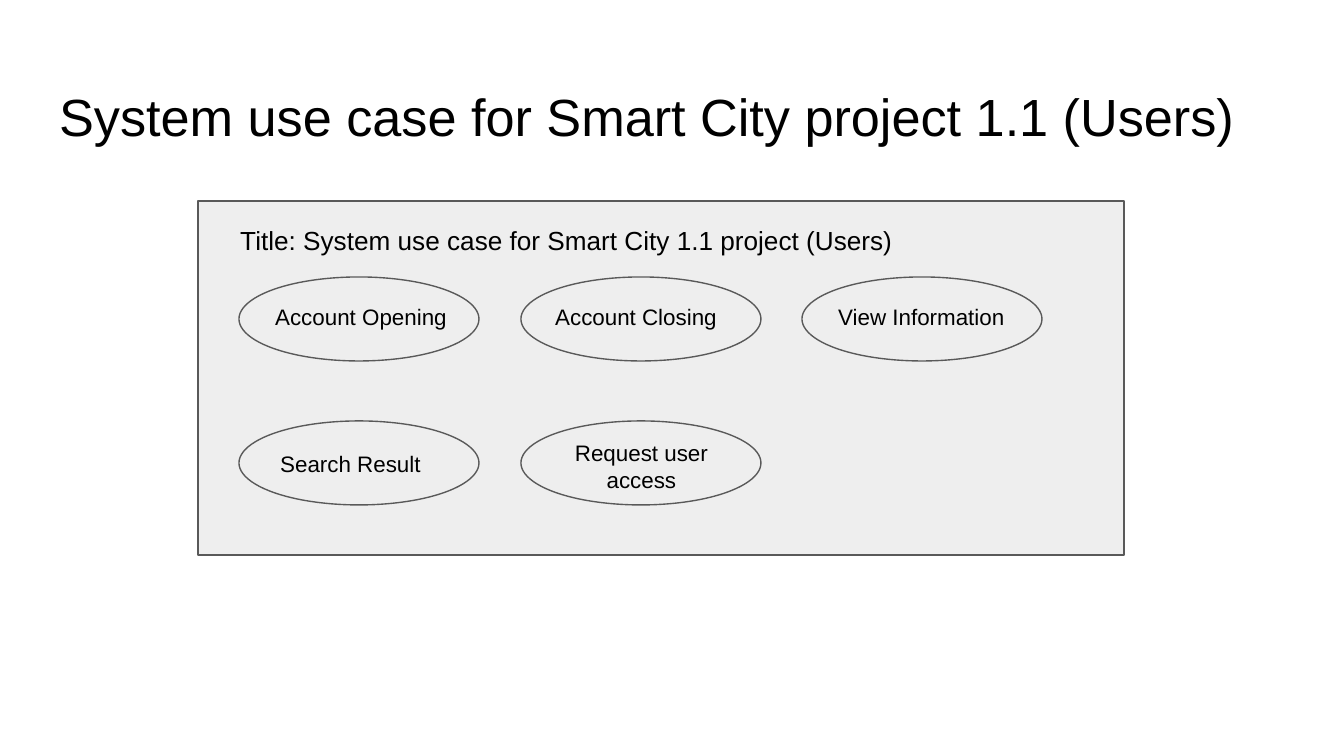
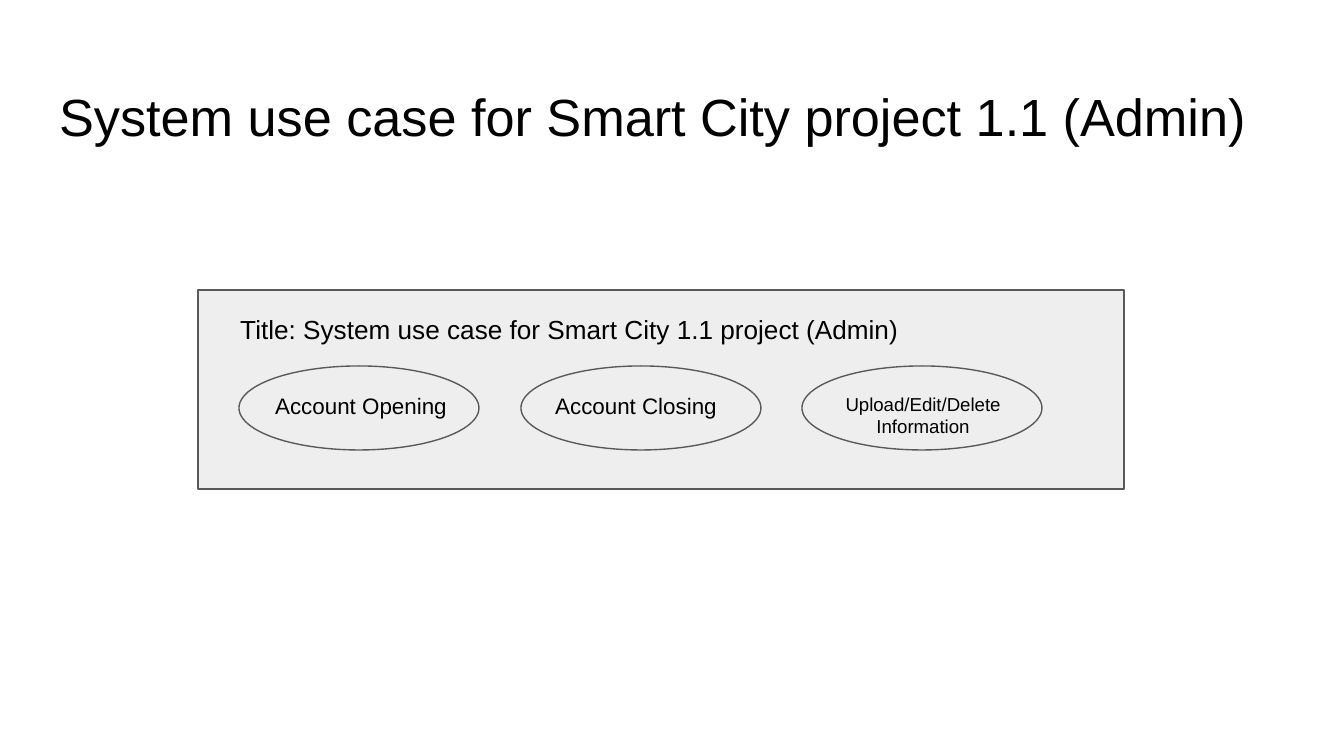
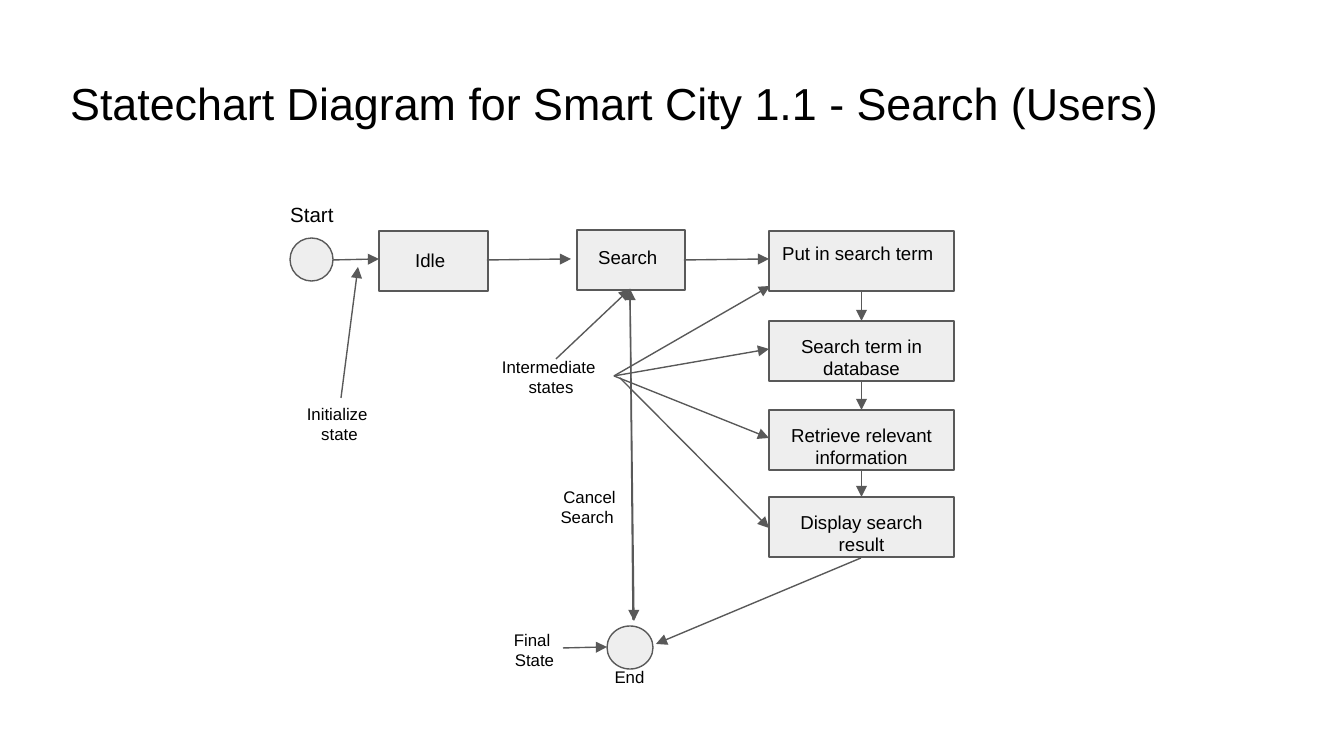
from pptx import Presentation, util as u
from pptx.dml.color import RGBColor
from pptx.enum import shapes, text
from pptx.oxml import parse_xml
from pptx.oxml.ns import nsdecls, qn

FONT, INK, LINE, FILL = "Arial", "000000", "595959", "EEEEEE"
RECT, OVAL = shapes.MSO_SHAPE.RECTANGLE, shapes.MSO_SHAPE.OVAL
PX = 914400 / 134.4

# label, column, row, offset x, offset y, width, size, centred
OPENING = ("Account Opening", 0, 0, 23, 13, 207, 12, False)
CLOSING = ("Account Closing", 1, 0, 21, 13, 196, 12, False)
CASES = [
    ("Users", 201, 354, [
        OPENING, CLOSING,
        ("View Information", 2, 0, 23, 13, 196, 12, False),
        ("Search Result", 0, 1, 28, 16, 196, 12, False),
        ("Request user access", 1, 1, 17, 5, 207, 12, True)]),
    ("Admin", 290, 199, [
        OPENING, CLOSING,
        ("Upload/Edit/Delete Information", 2, 0, 23, 13, 196, 10, True)]),
]
COLS, PITCH = (239, 521, 802), 144

NODES = [
    (OVAL, 290, 238, 43, 43), (OVAL, 607, 626, 46, 43),
    (RECT, 379, 231, 109, 60), (RECT, 577, 230, 108, 60),
]
STEPS = [
    ("Put in search term", 231, False),
    ("Search term in database", 321, True),
    ("Retrieve relevant information", 410, True),
    ("Display search result", 497, True),
]
STEP_X, STEP_W, STEP_H = 769, 185, 60
LABELS = [
    ("Start", 277, 190, 87, 52, 11, False),
    ("Idle", 402, 238, 71, 60, 10, False),
    ("Search", 585, 235, 88, 43, 10, False),
    ("Initialize \nstate", 285, 390, 109, 73, 9, True),
    ("Intermediate \nstates", 487, 343, 128, 67, 9, True),
    ("Cancel\nSearch ", 546, 473, 87, 67, 9, True),
    ("Final \nState", 480, 616, 109, 73, 9, True),
    ("End", 597, 657, 65, 43, 9, True),
]
HUB, FOOT = (614, 376), (630, 289)
ARROWS = [
    ((333, 260), (379, 259)), ((487, 260), (571, 259)),
    ((684, 260), (769, 259)), ((341, 398), (358, 267)),
    ((556, 359), FOOT), ((633, 620), FOOT), (FOOT, (634, 621)),
    ((563, 648), (607, 647)), ((861, 558), (656, 644)),
    (HUB, (770, 286)), (HUB, (769, 349)), (HUB, (769, 438)),
    ((620, 378), (769, 528)),
]


def emu(*vals):
    return [u.Emu(round(v * PX)) for v in vals]


def color(code):
    return RGBColor.from_string(code)


def write(slide, words, x, y, w, h, size, mid=False, top=13.44):
    frame = slide.shapes.add_textbox(*emu(x, y, w, h)).text_frame
    frame.word_wrap = True
    frame.margin_left = frame.margin_right = frame.margin_bottom = u.Inches(0.1)
    frame.margin_top = emu(top)[0]
    frame.text = words
    for par in frame.paragraphs:
        par.alignment = text.PP_ALIGN.CENTER if mid else text.PP_ALIGN.LEFT
        for run in par.runs:
            run.font.name, run.font.size = FONT, u.Pt(size)
            run.font.color.rgb = color(INK)


def title(slide, words, x, y, w, size):
    write(slide, words, x, y, w, 85, size, top=18)


def draw(slide, kind, *area):
    shape = slide.shapes.add_shape(kind, *emu(*area))
    shape.shadow.inherit = False
    shape.fill.solid()
    shape.fill.fore_color.rgb = color(FILL)
    shape.line.color.rgb = color(LINE)
    shape.line.width = u.Pt(0.75)


def arrow(slide, start, end):
    link = slide.shapes.add_connector(
        shapes.MSO_CONNECTOR.STRAIGHT, *emu(*start, *end))
    link.line.color.rgb = color(LINE)
    link.line.width = u.Pt(0.75)
    props = link._element.spPr
    props.find(qn("a:ln")).append(parse_xml(
        f'<a:tailEnd {nsdecls("a")} type="triangle" w="med" len="med"/>'))
    props.append(parse_xml(f'<a:effectLst {nsdecls("a")}/>'))


deck = Presentation()
deck.slide_width, deck.slide_height = emu(1344, 756)


def page():
    return deck.slides.add_slide(deck.slide_layouts[6])


for role, top, high, cases in CASES:
    slide = page()
    title(slide, f"System use case for Smart City project 1.1 ({role}) ",
          46, 66, 1252, 28)
    draw(slide, RECT, 198, top, 926, high)
    spots = [(COLS[case[1]], top + 76 + PITCH * case[2]) for case in cases]
    for x, y in spots:
        draw(slide, OVAL, x, y, 240, 84)
    write(slide, f"Title: System use case for Smart City 1.1 project ({role}) ",
          227, top + 10, 733, 38, 14)
    for (x, y), (words, _, _, dx, dy, wide, size, mid) in zip(spots, cases):
        write(slide, words, x + dx, y + dy, wide, 58, size, mid)

slide = page()
title(slide, "Statechart Diagram for Smart City 1.1 - Search (Users)",
      57, 58, 1165, 24)
for node in NODES:
    draw(slide, *node)
for words, y, mid in STEPS:
    draw(slide, RECT, STEP_X, y, STEP_W, STEP_H)
    write(slide, words, STEP_X, y, STEP_W, STEP_H, 10, mid)
for label in LABELS:
    write(slide, *label)
axis = STEP_X + STEP_W / 2
for (_, y, _), (_, below, _) in zip(STEPS, STEPS[1:]):
    arrow(slide, (axis, y + STEP_H), (axis, below))
for start, end in ARROWS:
    arrow(slide, start, end)

deck.save("out.pptx")
